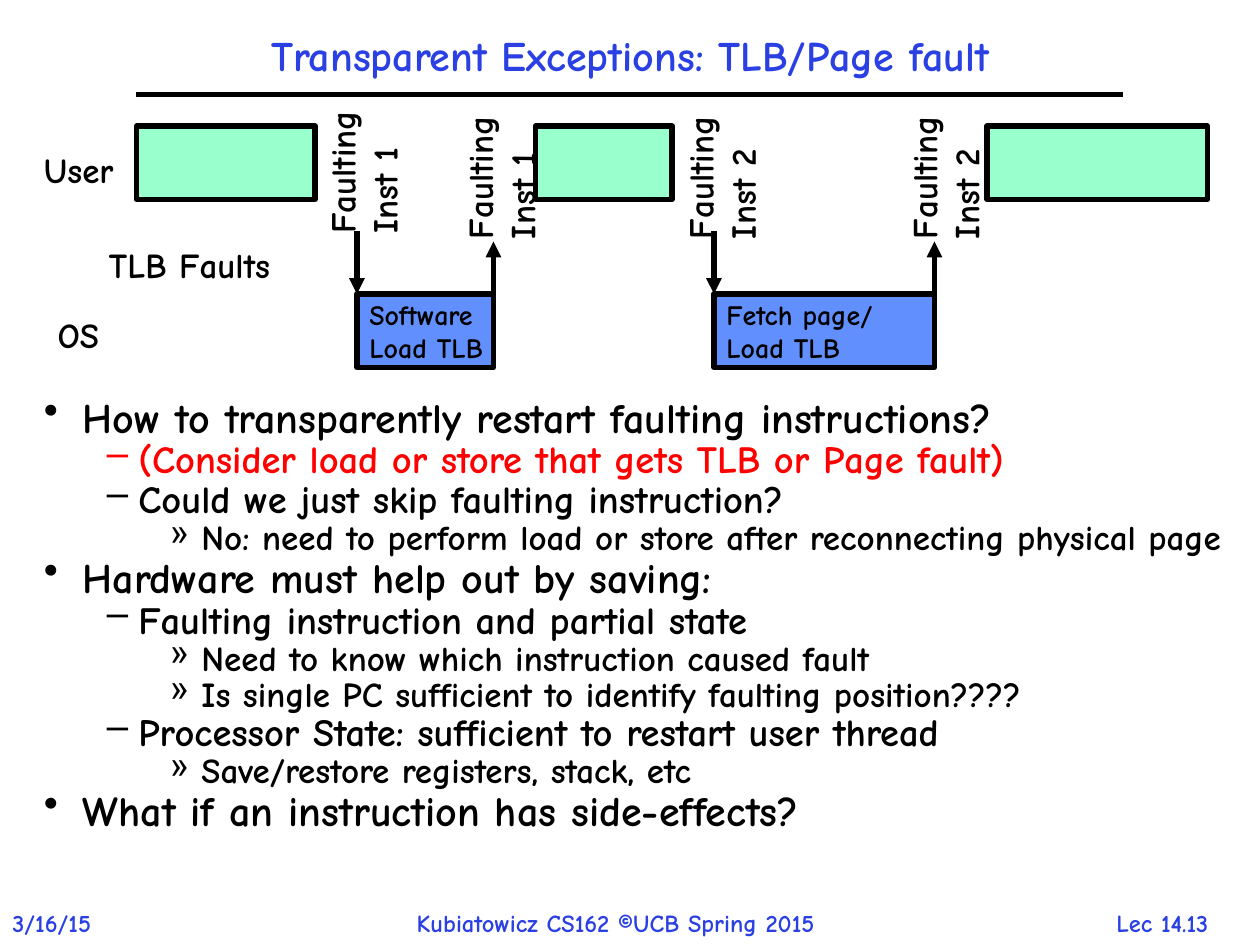
from dataclasses import dataclass

from lxml import etree
from pptx import Presentation
from pptx import util as u
from pptx.dml.color import RGBColor
from pptx.enum import shapes, text
from pptx.oxml.ns import qn

COLS, ROWS = 120, 90  # grid over the 10 x 7.5 inch slide


@dataclass(frozen=True)
class Theme:
    font: str = "Comic Neue"
    ink: str = "000000"
    accent: str = "2A40E2"
    alert: str = "FF0000"
    user: str = "99FFCC"
    kernel: str = "618FFD"
    title: int = 24
    label: int = 20
    box: int = 16
    footer: int = 14
    line: int = 3
    body: tuple = (24, 22, 20)


T = Theme()
# Per outline level: bullet, left margin, hanging indent (inches)
LEVELS = (("•", 0.31, 0.31), ("–", 0.75, 0.25), ("»", 1.25, 0.25))

OUTLINE = (
    (0, "How to transparently restart faulting instructions?", T.ink),
    (1, "(Consider load or store that gets TLB or Page fault)", T.alert),
    (1, "Could we just skip faulting instruction?", T.ink),
    (2, "No: need to perform load or store after reconnecting physical page", T.ink),
    (0, "Hardware must help out by saving:", T.ink),
    (1, "Faulting instruction and partial state", T.ink),
    (2, "Need to know which instruction caused fault", T.ink),
    (2, "Is single PC sufficient to identify faulting position????", T.ink),
    (1, "Processor State: sufficient to restart user thread", T.ink),
    (2, "Save/restore registers, stack, etc", T.ink),
    (0, "What if an instruction has side-effects?", T.ink),
)


def x(col):
    return u.Inches(10 * col / COLS)


def y(row):
    return u.Inches(7.5 * row / ROWS)


def add_run(p, words, size, color=T.ink):
    r = p.add_run()
    r.text = words
    r.font.name, r.font.size, r.font.bold = T.font, u.Pt(size), True
    r.font.color.rgb = RGBColor.from_string(color)


def write_lines(tf, lines, size, color=T.ink, align=text.PP_ALIGN.LEFT):
    for i, words in enumerate(lines):
        p = tf.add_paragraph() if i else tf.paragraphs[0]
        p.alignment = align
        add_run(p, words, size, color)


def add_label(s, col, row, w, h, lines, size=T.label, color=T.ink,
              align=text.PP_ALIGN.LEFT, wrap=False, rotation=0):
    sp = s.shapes.add_textbox(x(col), y(row), x(w), y(h))
    sp.rotation = rotation
    sp.text_frame.word_wrap = wrap
    write_lines(sp.text_frame, lines, size, color, align)
    return sp


def add_box(s, col, row, w, fill, lines=()):
    sp = s.shapes.add_shape(shapes.MSO_SHAPE.RECTANGLE, x(col), y(row), x(w), y(7))
    sp.shadow.inherit = False
    sp.fill.solid()
    sp.fill.fore_color.rgb = RGBColor.from_string(fill)
    sp.line.color.rgb = RGBColor.from_string(T.ink)
    sp.line.width = u.Pt(T.line)
    sp.text_frame.word_wrap = False
    sp.text_frame.vertical_anchor = text.MSO_ANCHOR.MIDDLE
    write_lines(sp.text_frame, lines, T.box)


def add_line(s, col1, row1, col2, row2, arrow=False):
    c = s.shapes.add_connector(shapes.MSO_CONNECTOR.STRAIGHT,
                               x(col1), y(row1), x(col2), y(row2))
    c.line.color.rgb = RGBColor.from_string(T.ink)
    c.line.width = u.Pt(T.line)
    if arrow:
        etree.SubElement(c.line._get_or_add_ln(), qn("a:tailEnd"), type="triangle")
    etree.SubElement(c._element.spPr, qn("a:effectLst"))


def add_outline(s, col, row, w, h, items):
    tf = s.shapes.add_textbox(x(col), y(row), x(w), y(h)).text_frame
    tf.word_wrap = True
    for i, (level, words, color) in enumerate(items):
        bullet, margin, hang = LEVELS[level]
        p = tf.add_paragraph() if i else tf.paragraphs[0]
        p.level, p.line_spacing = level, 0.7
        pPr = p._p.get_or_add_pPr()
        pPr.set("marL", str(u.Inches(margin)))
        pPr.set("indent", str(-u.Inches(hang)))
        before = etree.SubElement(pPr, qn("a:spcBef"))
        etree.SubElement(before, qn("a:spcPct"), val="20000")
        etree.SubElement(pPr, qn("a:buChar"), char=bullet)
        add_run(p, words, T.body[level], color)


def add_fault(s, left, right, number, label_cols, label_rows, handler):
    """One trip into the OS: trap down, handler, return up."""
    add_box(s, left, 28, right - left, T.kernel, handler)
    add_line(s, left, 22, left, 28, arrow=True)
    add_line(s, right, 28, right, 23, arrow=True)
    for col, row in zip(label_cols, label_rows):
        add_label(s, col, row, 14.9, 7.6, ("Faulting", f"Inst {number}"), rotation=270)


def main():
    prs = Presentation()
    prs.slide_width, prs.slide_height = u.Inches(10), u.Inches(7.5)
    s = prs.slides.add_slide(prs.slide_layouts[6])

    # Footer
    for col, w, words, align in (
        (102.7, 16, "Lec 14.13", text.PP_ALIGN.CENTER),
        (0, 12, "3/16/15", text.PP_ALIGN.LEFT),
        (38.5, 46.4, "Kubiatowicz CS162 ©UCB Spring 2015", text.PP_ALIGN.LEFT),
    ):
        add_label(s, col, 85.9, w, 4, (words,), T.footer, T.accent, align)

    # Title and rule
    title = add_label(s, 13, 2, 94, 7, ("Transparent Exceptions: TLB/Page fault",),
                      T.title, T.accent, text.PP_ALIGN.CENTER, wrap=True)
    title.text_frame.vertical_anchor = text.MSO_ANCHOR.MIDDLE
    title.text_frame.paragraphs[0].line_spacing = 0.9
    add_line(s, 13, 9, 107, 9)

    # Bulleted outline
    add_outline(s, 3, 38, 117, 49, OUTLINE)

    # Timeline: user execution, then the two faults
    for col, w in ((13, 17), (51, 13), (94, 21)):
        add_box(s, col, 12, w, T.user)
    add_fault(s, 34, 47, 1, (26.3, 39.4), (12.2, 12.7), ("Software", "Load TLB"))
    add_fault(s, 68, 89, 2, (60.4, 81.7), (12.7, 12.7), ("Fetch page/", "Load TLB"))

    # Row labels
    for col, row, w, words in ((3, 13.6, 10, "User"), (4.3, 29.3, 7.3, "OS"),
                               (9.2, 22.6, 19.8, "TLB Faults")):
        add_label(s, col, row, w, 4.3, (words,))

    prs.save("out.pptx")


if __name__ == "__main__":
    main()
